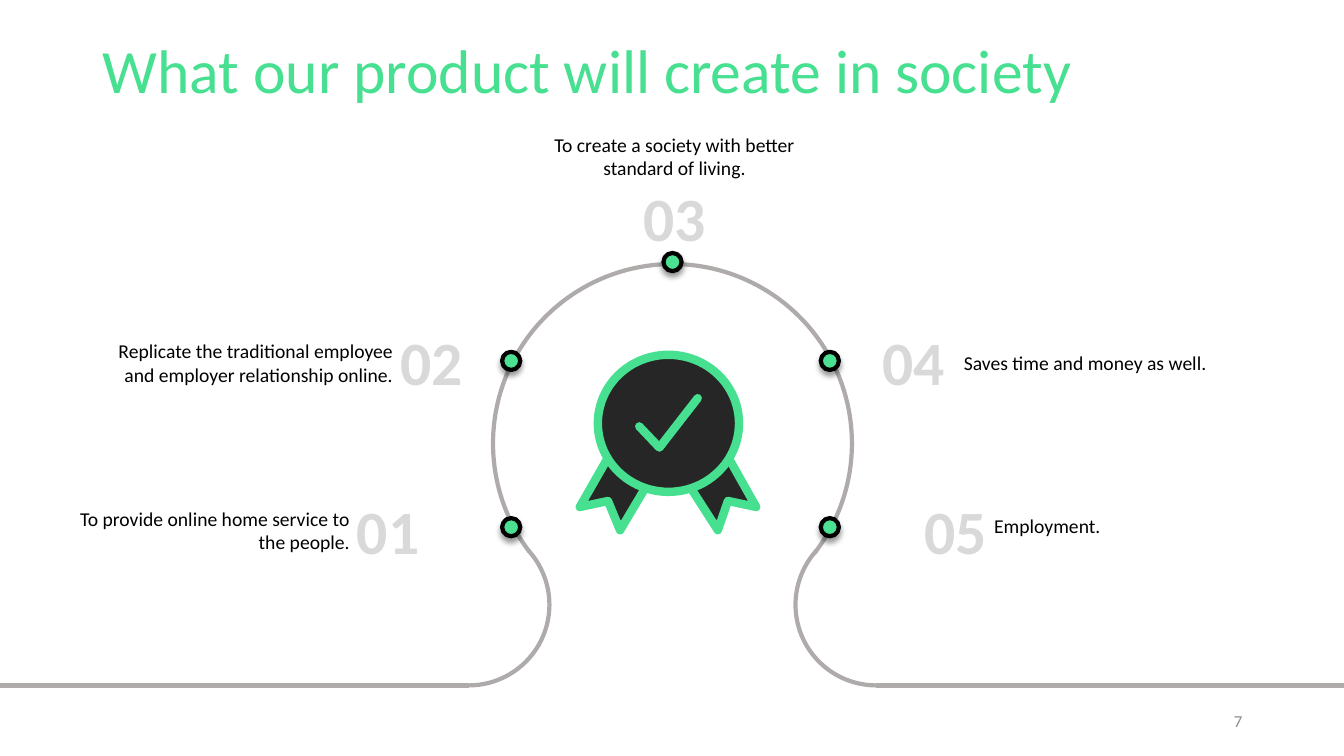
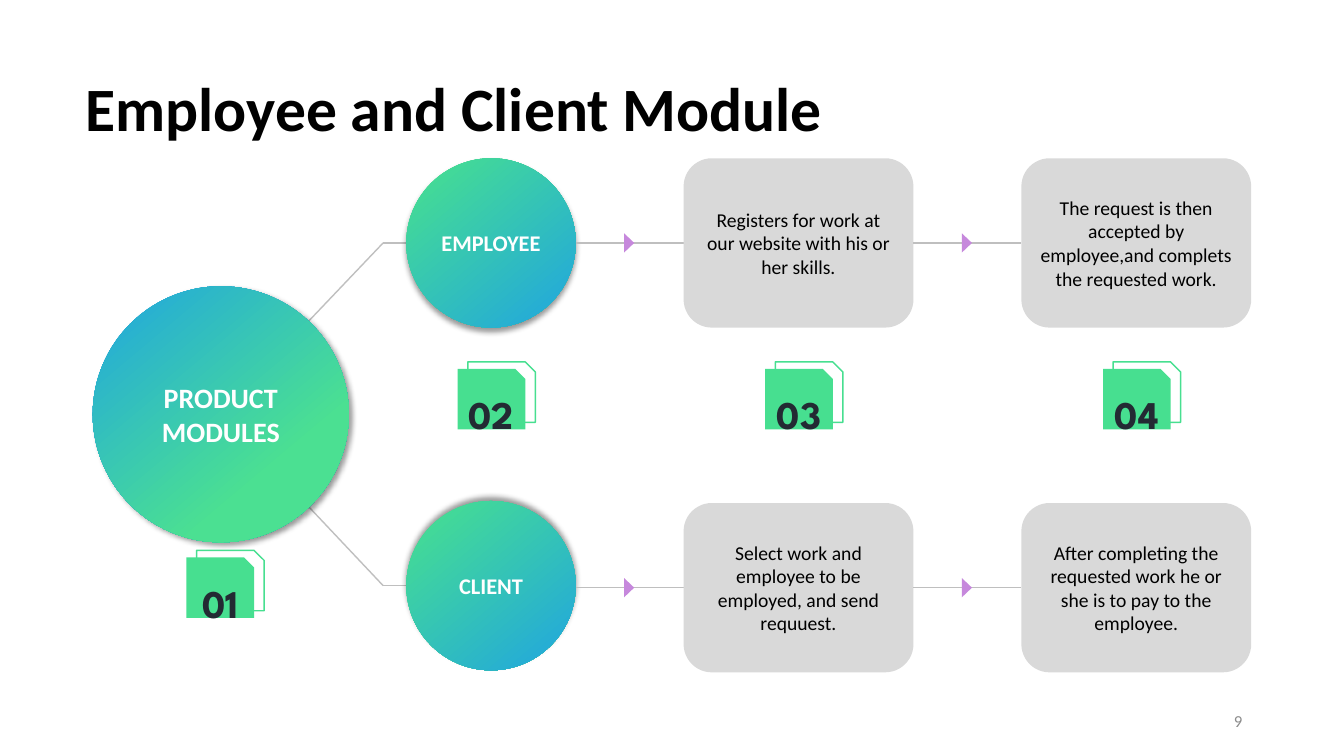
import pptx
import pptx.util
import pptx.dml.color
import pptx.enum.shapes
import pptx.enum.text
import pptx.oxml
import pptx.oxml.ns

Inches = pptx.util.Inches
Pt = pptx.util.Pt
SHAPE = pptx.enum.shapes.MSO_SHAPE
ALIGN = pptx.enum.text.PP_ALIGN
ANCHOR = pptx.enum.text.MSO_ANCHOR

GREEN, MINT, BLUE, PURPLE = "47DF90", "4BE092", "20A5E0", "C688DC"
BLACK, CHARCOAL, INK, WHITE = "000000", "262626", "232A33", "FFFFFF"
TRACK, RULE, PALE, FOOTER = "AFABAB", "BFBFBF", "D9D9D9", "8C8C8C"
SLIDE_WIDTH, SLIDE_HEIGHT = 13.33, 7.5


def color(value):
    """Turn a hex string into a colour."""
    return pptx.dml.color.RGBColor.from_string(value)


def xml_child(parent, tag, **attributes):
    """Append a DrawingML element to a parent and return it."""
    child = pptx.oxml.parse_xml(f"<a:{tag} {pptx.oxml.ns.nsdecls('a')}/>")
    for name, value in attributes.items():
        child.set(name, str(value))
    parent.append(child)
    return child


def write(shape, text, size, ink, bold=False, align=ALIGN.CENTER, anchor=ANCHOR.MIDDLE,
          font="Calibri"):
    """Put one styled paragraph in a shape and return the paragraph."""
    shape.text_frame.vertical_anchor = anchor
    paragraph = shape.text_frame.paragraphs[0]
    paragraph.text = text
    paragraph.alignment = align
    paragraph.font.size = Pt(size)
    paragraph.font.name = font
    paragraph.font.bold = bold
    paragraph.font.color.rgb = color(ink)
    return paragraph


def add_text(slide, box, text, size, ink, inset=True, wrap=True, **style):
    """Add a text box, with or without inner margins."""
    shape = slide.shapes.add_textbox(*map(Inches, box))
    frame = shape.text_frame
    frame.word_wrap = wrap
    if not inset:
        frame.margin_left = frame.margin_right = frame.margin_top = frame.margin_bottom = 0
    return write(shape, text, size, ink, **style)


def paint(shape, fill=None, line=None, width=1):
    """Set the fill and outline of a shape and clear its shadow."""
    shape.shadow.inherit = False
    if fill:
        shape.fill.solid()
        shape.fill.fore_color.rgb = color(fill)
    else:
        shape.fill.background()
    if line:
        shape.line.color.rgb = color(line)
        shape.line.width = Pt(width)
    else:
        shape.line.fill.background()
    return shape


def add_shape(slide, kind, box, fill=None, line=None, width=1):
    """Add a painted preset shape."""
    return paint(slide.shapes.add_shape(kind, *map(Inches, box)), fill, line, width)


def add_line(slide, start, end, ink, width=1):
    """Add a straight line without a shadow."""
    line = slide.shapes.add_connector(
        pptx.enum.shapes.MSO_CONNECTOR.STRAIGHT, *map(Inches, (*start, *end)))
    line.line.color.rgb = color(ink)
    line.line.width = Pt(width)
    xml_child(line._element.spPr, "effectLst")


def add_shadow(shape, direction):
    """Give a shape a soft shadow cast at an angle in degrees."""
    effects = shape._element.spPr.find(pptx.oxml.ns.qn("a:effectLst"))
    shadow = xml_child(effects, "outerShdw", blurRad=Pt(4), dist=Pt(3),
                       dir=direction * 60000, algn="ctr", rotWithShape=0)
    xml_child(xml_child(shadow, "srgbClr", val=BLACK), "alpha", val=40000)


def add_arc(slide, box, start, end):
    """Add a track arc that runs clockwise between two angles in degrees."""
    arc = add_shape(slide, SHAPE.ARC, box, line=TRACK, width=3)
    arc.adjustments[0] = start * 0.6
    arc.adjustments[1] = end * 0.6


def start_slide(presentation, title, title_position, number, title_ink, bold=False):
    """Add a blank slide with its title and page number."""
    slide = presentation.slides.add_slide(presentation.slide_layouts[6])
    paragraph = add_text(slide, (*title_position, 11.5, 1.45), title, 44, title_ink,
                         bold=bold, align=ALIGN.LEFT)
    paragraph.line_spacing = 0.9
    add_text(slide, (9.42, 6.95, 3, 0.4), number, 12, FOOTER, align=ALIGN.RIGHT)
    return slide


def draw_track(slide, left, top):
    """Draw the keyhole track whose round part has the given corner."""
    diameter, hook, base = 3.56, 1.6, top + 4.18
    add_arc(slide, (left, top, diameter, diameter), 143, 38)
    left_hook = left - 1.04
    right_hook = left + diameter + 1.04 - hook
    for hook_left, start, end, edge in ((left_hook, 317.7, 90, 0),
                                        (right_hook, 90, 222.3, SLIDE_WIDTH)):
        add_arc(slide, (hook_left, base - hook, hook, hook), start, end)
        add_line(slide, (edge, base), (hook_left + hook / 2, base), TRACK, 3)


def draw_milestone(slide, number, number_position, text, text_position, align, dot_position):
    """Draw a numbered statement and its dot on the track."""
    add_text(slide, (*number_position, 0.76, 0.74), number, 44, PALE, inset=False, bold=True)
    add_text(slide, (*text_position, 2.9, 0.48), text, 14, BLACK, inset=False, align=align)
    dot = add_shape(slide, SHAPE.OVAL, (*dot_position, 0.18, 0.18), MINT, BLACK, 3)
    add_shadow(dot, 90)


def draw_medal(slide, left, top):
    """Draw the rosette with two ribbons and a tick."""
    def add_outline(points, fill=None):
        """Add an open outline with round ends and corners."""
        corners = [(Inches(left + x), Inches(top + y)) for x, y in points]
        builder = slide.shapes.build_freeform(*corners[0])
        builder.add_line_segments(corners[1:], close=False)
        shape = paint(builder.convert_to_shape(), fill, GREEN, 6)
        outline = shape.line._get_or_add_ln()
        outline.set("cap", "rnd")
        xml_child(outline, "round")

    add_outline([(0.28, 1.02), (0, 1.51), (0.28, 1.45), (0.4, 1.74), (0.65, 1.32)], CHARCOAL)
    add_outline([(1.48, 1.03), (1.75, 1.51), (1.47, 1.45), (1.37, 1.74), (1.1, 1.32)], CHARCOAL)
    add_shape(slide, SHAPE.OVAL, (left + 0.18, top, 1.4, 1.36), CHARCOAL, GREEN, 6)
    add_outline([(1.17, 0.43), (0.79, 0.92), (0.59, 0.71)])


def build_society_slide(presentation):
    """Build the slide with five aims around the track."""
    slide = start_slide(presentation, "What our product will create in society", (0.92, 0),
                        "7", GREEN)
    draw_track(slide, 4.89, 2.62)
    milestones = (
        ("01", (3.47, 4.89), "To provide online home service to the people.",
         (0.57, 5.02), ALIGN.RIGHT, (4.98, 5.14)),
        ("02", (3.9, 3.21), "Replicate the traditional employee and employer relationship online.",
         (1, 3.36), ALIGN.RIGHT, (4.98, 3.49)),
        ("03", (6.31, 1.78), "To create a society with better standard of living.",
         (5.24, 1.31), ALIGN.CENTER, (6.58, 2.51)),
        ("04", (8.68, 3.21), "Saves time and money as well.",
         (9.56, 3.36), ALIGN.LEFT, (8.14, 3.49)),
        ("05", (9.1, 4.89), "Employment.",
         (9.86, 4.97), ALIGN.LEFT, (8.14, 5.14)),
    )
    for milestone in milestones:
        draw_milestone(slide, *milestone)
    draw_medal(slide, 5.75, 3.52)


def draw_ball(slide, box, text, size, stops, shadow_direction):
    """Draw a circle with a two-colour gradient and a bold label."""
    ball = add_shape(slide, SHAPE.OVAL, box)
    ball.fill.gradient()
    ball.fill.gradient_angle = 310
    for stop, (position, ink) in zip(ball.fill.gradient_stops, stops):
        stop.position = position
        stop.color.rgb = color(ink)
    add_shadow(ball, shadow_direction)
    write(ball, text, size, WHITE, bold=True)


def draw_module(slide, top, steps_top, branch_start, name, steps, shadow_direction):
    """Draw a branch, its circle and the steps that follow it."""
    left, diameter, step_width, gap = 4.03, 1.68, 2.28, 1.07
    branch_y = top + diameter / 2
    elbow = (3.8, branch_y)
    add_line(slide, branch_start, elbow, RULE)
    add_line(slide, elbow, (left + 0.16, branch_y), RULE)
    draw_ball(slide, (left, top, diameter, diameter), name, 16,
              ((0.04, GREEN), (1, BLUE)), shadow_direction)
    middle = steps_top + diameter / 2
    for index, text in enumerate(steps):
        start = left + diameter + index * (gap + step_width)
        add_line(slide, (start, middle), (start + gap, middle), RULE)
        arrow = add_shape(slide, SHAPE.ISOSCELES_TRIANGLE,
                          (start + gap / 2 - 0.1, middle - 0.05, 0.19, 0.1), PURPLE)
        arrow.rotation = 90
        step = add_shape(slide, SHAPE.ROUNDED_RECTANGLE,
                         (start + gap, steps_top, step_width, diameter), PALE)
        write(step, text, 14, BLACK)


def draw_badge(slide, left, top, number):
    """Draw a numbered card with an outlined card behind it."""
    width, height = 0.67, 0.6
    card = SHAPE.SNIP_1_RECTANGLE
    add_shape(slide, card, (left + 0.1, top - 0.07, width, height), line=GREEN)
    add_shape(slide, card, (left, top, width, height), GREEN)
    add_text(slide, (left, top + 0.16, width, 0.57), number, 28, INK, wrap=False,
             bold=True, anchor=ANCHOR.BOTTOM, font="League Spartan")


def build_module_slide(presentation):
    """Build the slide with the employee and client flows."""
    slide = start_slide(presentation, "Employee and Client Module", (0.75, 0.38), "9", BLACK,
                        bold=True)
    draw_module(slide, 1.57, 1.57, (2.81, 3.45), "EMPLOYEE",
                ("Registers for work at our website with his or her skills.",
                 "The request is then accepted by employee,and complets the requested work."),
                90)
    draw_module(slide, 4.97, 4.99, (2.81, 4.76), "CLIENT",
                ("Select work and employee to be employed, and send requuest.",
                 "After completing the requested work he or she is to pay to the employee."),
                270)
    draw_ball(slide, (0.92, 2.84, 2.54, 2.54), "PRODUCT MODULES", 20,
              ((0, BLUE), (0.71, MINT)), 45)
    badges = ((1.85, 5.53), (4.54, 3.66), (7.59, 3.66), (10.94, 3.66))
    for index, (left, top) in enumerate(badges, 1):
        draw_badge(slide, left, top, f"{index:02}")


def main():
    """Build and save the presentation."""
    presentation = pptx.Presentation()
    presentation.slide_width = Inches(SLIDE_WIDTH)
    presentation.slide_height = Inches(SLIDE_HEIGHT)
    build_society_slide(presentation)
    build_module_slide(presentation)
    presentation.save("out.pptx")


if __name__ == "__main__":
    main()
